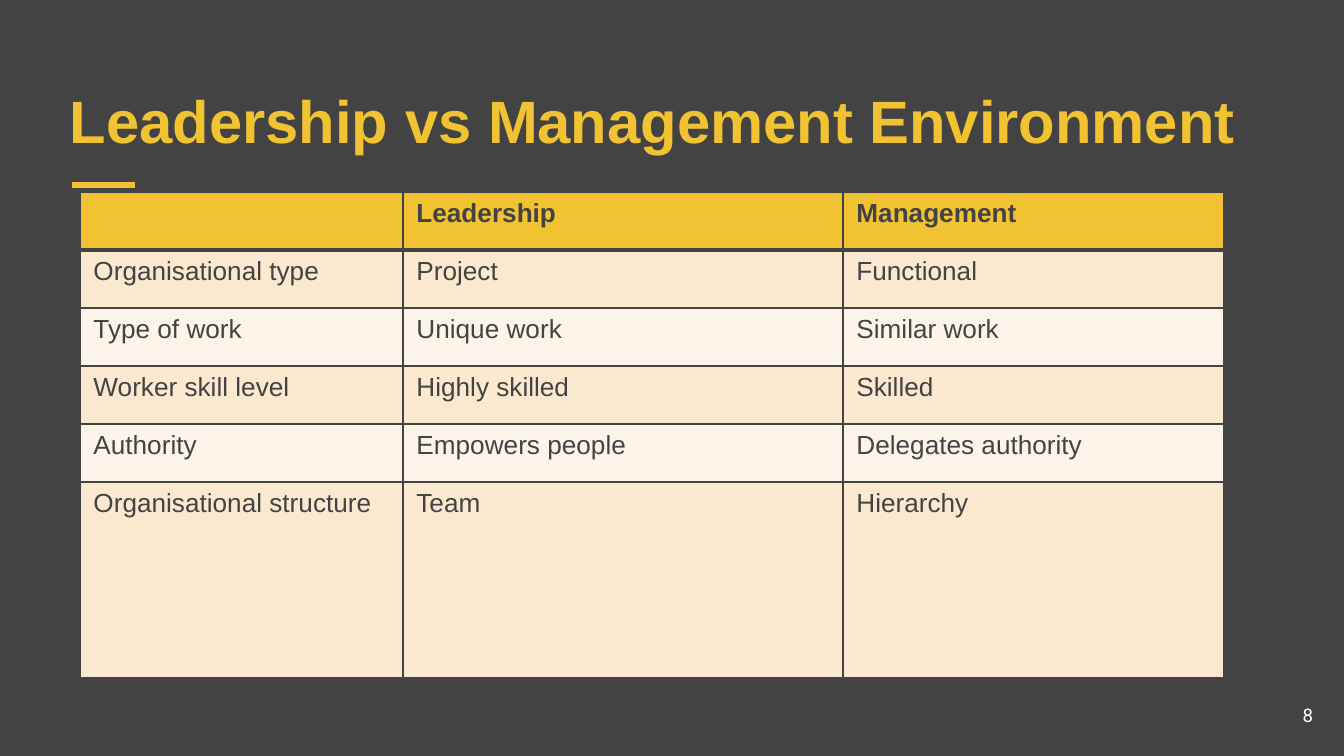
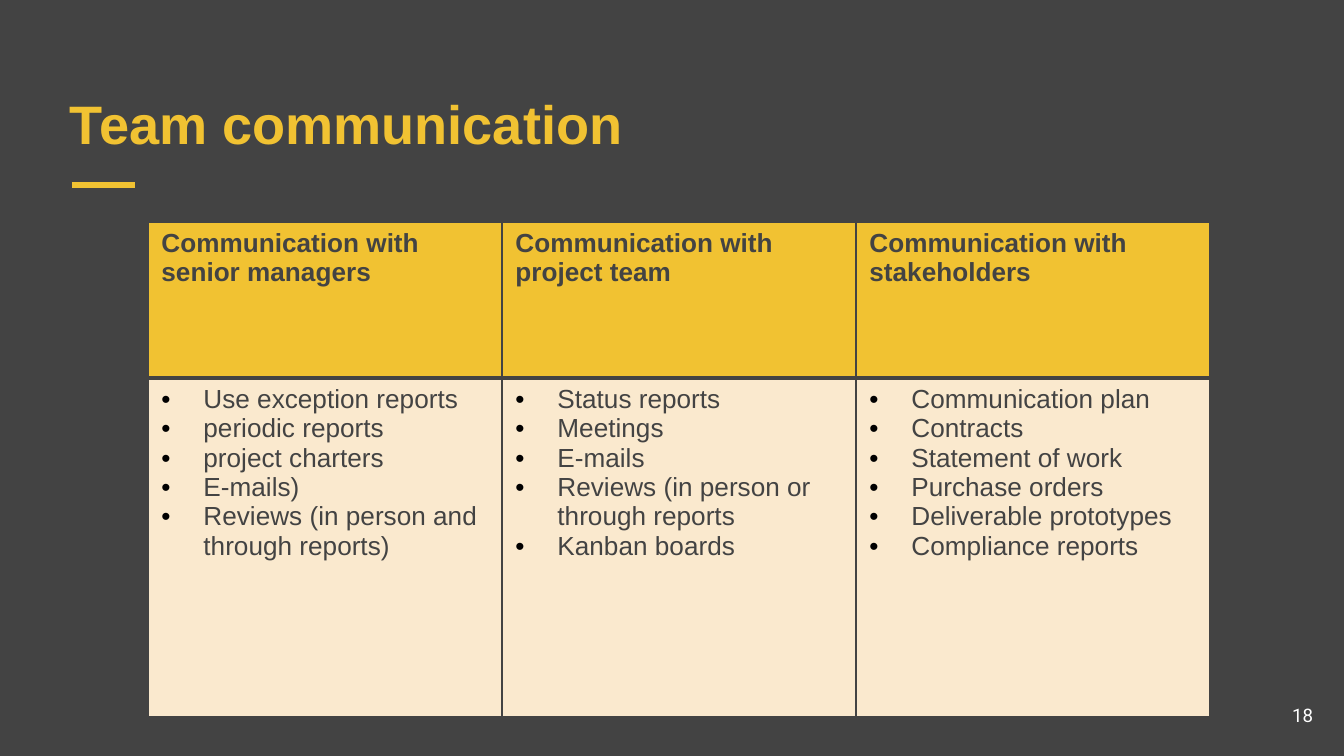
from lxml import etree
from pptx import Presentation
from pptx.dml.color import RGBColor
from pptx.enum.shapes import MSO_CONNECTOR
from pptx.enum.text import MSO_ANCHOR, PP_ALIGN
from pptx.oxml import parse_xml
from pptx.oxml.ns import nsdecls, qn
from pptx.util import Emu, Pt

STRAIGHT = MSO_CONNECTOR.STRAIGHT
BOTTOM, MIDDLE = MSO_ANCHOR.BOTTOM, MSO_ANCHOR.MIDDLE
LEFT, RIGHT = PP_ALIGN.LEFT, PP_ALIGN.RIGHT

DARK = RGBColor(0x43, 0x43, 0x43)
GOLD = RGBColor(0xF1, 0xC2, 0x32)
SAND = RGBColor(0xFA, 0xE9, 0xCE)
CREAM = RGBColor(0xFC, 0xF4, 0xE8)
WHITE = RGBColor(0xFF, 0xFF, 0xFF)
BLACK = RGBColor(0x00, 0x00, 0x00)

BULLET_INDENT = 42


def px(n):
    return Emu(round(n * 914400 / 134.4))


def add_run(p, text, size, color, bold=False, font="Arial"):
    r = p.add_run()
    r.text = text
    r.font.name = font
    r.font.size = Pt(size)
    r.font.bold = bold
    r.font.color.rgb = color


# Slide content: a list in a cell becomes a bulleted list
slides = [
    {
        "title": "Leadership vs Management Environment", "title_size": 32, "number": "8",
        "at": (80, 192), "cols": [323, 440, 381], "heights": [58] * 5 + [196],
        "rows": [
            ["", "Leadership", "Management"],
            ["Organisational type", "Project", "Functional"],
            ["Type of work", "Unique work", "Similar work"],
            ["Worker skill level", "Highly skilled", "Skilled"],
            ["Authority", "Empowers people", "Delegates authority"],
            ["Organisational structure", "Team", "Hierarchy"],
        ],
    },
    {
        "title": "Team communication", "title_size": 29, "number": "18",
        "at": (148, 222), "cols": [354] * 3, "heights": [156, 339],
        "rows": [
            ["Communication with senior managers",
             "Communication with project team",
             "Communication with stakeholders"],
            [["Use exception reports", "periodic reports", "project charters", "E-mails)",
              "Reviews (in person and through reports)"],
             ["Status reports", "Meetings", "E-mails",
              "Reviews (in person or through reports", "Kanban boards"],
             ["Communication plan", "Contracts", "Statement of work", "Purchase orders",
              "Deliverable prototypes", "Compliance reports"]],
        ],
    },
]

prs = Presentation()
prs.slide_width, prs.slide_height = px(1344), px(756)

for content in slides:
    s = prs.slides.add_slide(prs.slide_layouts[6])
    s.background.fill.solid()
    s.background.fill.fore_color.rgb = DARK

    # Accent line under the title
    line = s.shapes.add_connector(STRAIGHT, px(72), px(185), px(135), px(185))
    line.line.color.rgb = GOLD
    line.line.width = Pt(3)
    etree.SubElement(line._element.spPr, qn("a:effectLst"))

    # Title and slide number
    for box, anchor, align, text, size, color, bold, font in [
        ((57, 67, 1230, 101), BOTTOM, LEFT,
         content["title"], content["title_size"], GOLD, True, "Arial"),
        ((1246, 686, 80, 58), MIDDLE, RIGHT,
         content["number"], 10, WHITE, False, "Roboto"),
    ]:
        sp = s.shapes.add_textbox(*map(px, box))
        tf = sp.text_frame
        tf.word_wrap = True
        tf.vertical_anchor = anchor
        tf.margin_left = tf.margin_right = tf.margin_top = tf.margin_bottom = px(13)
        p = tf.paragraphs[0]
        p.alignment = align
        add_run(p, text, size, color, bold, font)

    # Table grid
    rows, cols, heights = content["rows"], content["cols"], content["heights"]
    left, top = content["at"]
    table = s.shapes.add_table(len(rows), len(cols), px(left), px(top),
                               px(sum(cols)), px(sum(heights))).table
    table.first_row = table.horz_banding = False
    for column, width in zip(table.columns, cols):
        column.width = px(width)
    for row, height in zip(table.rows, heights):
        row.height = px(height)

    # Table cells
    for i, row in enumerate(rows):
        for j, value in enumerate(row):
            cell = table.cell(i, j)
            cell.fill.solid()
            cell.fill.fore_color.rgb = GOLD if i == 0 else SAND if i % 2 else CREAM

            # Borders, with a heavy rule below the header
            widths = {"L": 1, "R": 1, "T": 3 if i == 1 else 1, "B": 3 if i == 0 else 1}
            for k, (side, width) in enumerate(widths.items()):
                cell._tc.tcPr.insert(k, parse_xml(
                    f'<a:ln{side} {nsdecls("a")} w="{Pt(width)}"><a:solidFill>'
                    f'<a:srgbClr val="{DARK}"/></a:solidFill></a:ln{side}>'))

            tf = cell.text_frame
            bulleted = isinstance(value, list)
            for n, text in enumerate(value if bulleted else [value]):
                p = tf.paragraphs[0] if n == 0 else tf.add_paragraph()
                if text:
                    add_run(p, text, 14, DARK, bold=i == 0)
                if bulleted:
                    pPr = p._p.get_or_add_pPr()
                    pPr.set("marL", str(px(BULLET_INDENT)))
                    pPr.set("indent", str(-px(BULLET_INDENT)))
                    color = etree.SubElement(pPr, qn("a:buClr"))
                    etree.SubElement(color, qn("a:srgbClr"), val=str(BLACK))
                    etree.SubElement(pPr, qn("a:buFont"), typeface="Arial")
                    etree.SubElement(pPr, qn("a:buChar"), char="•")

prs.save("out.pptx")
